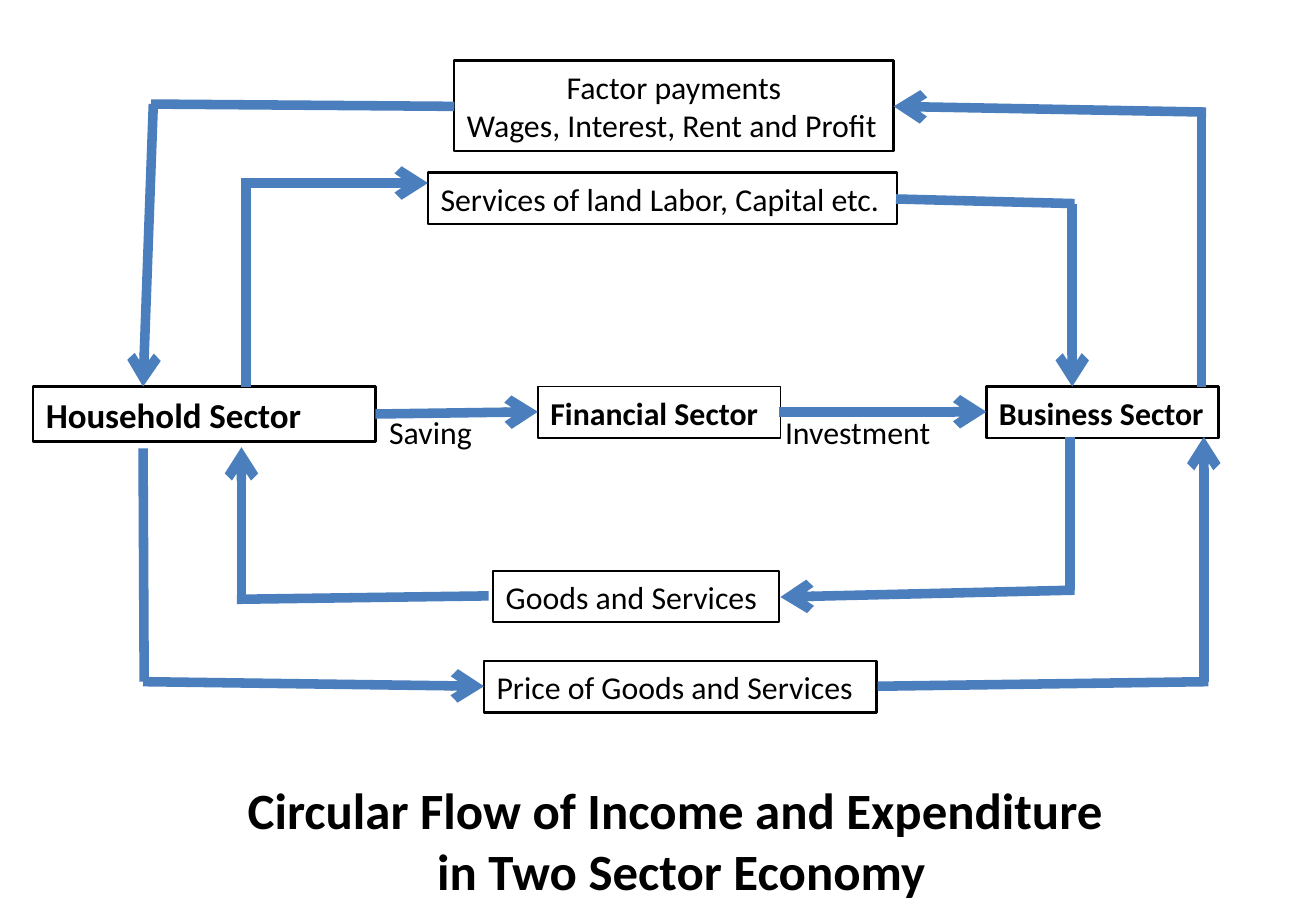
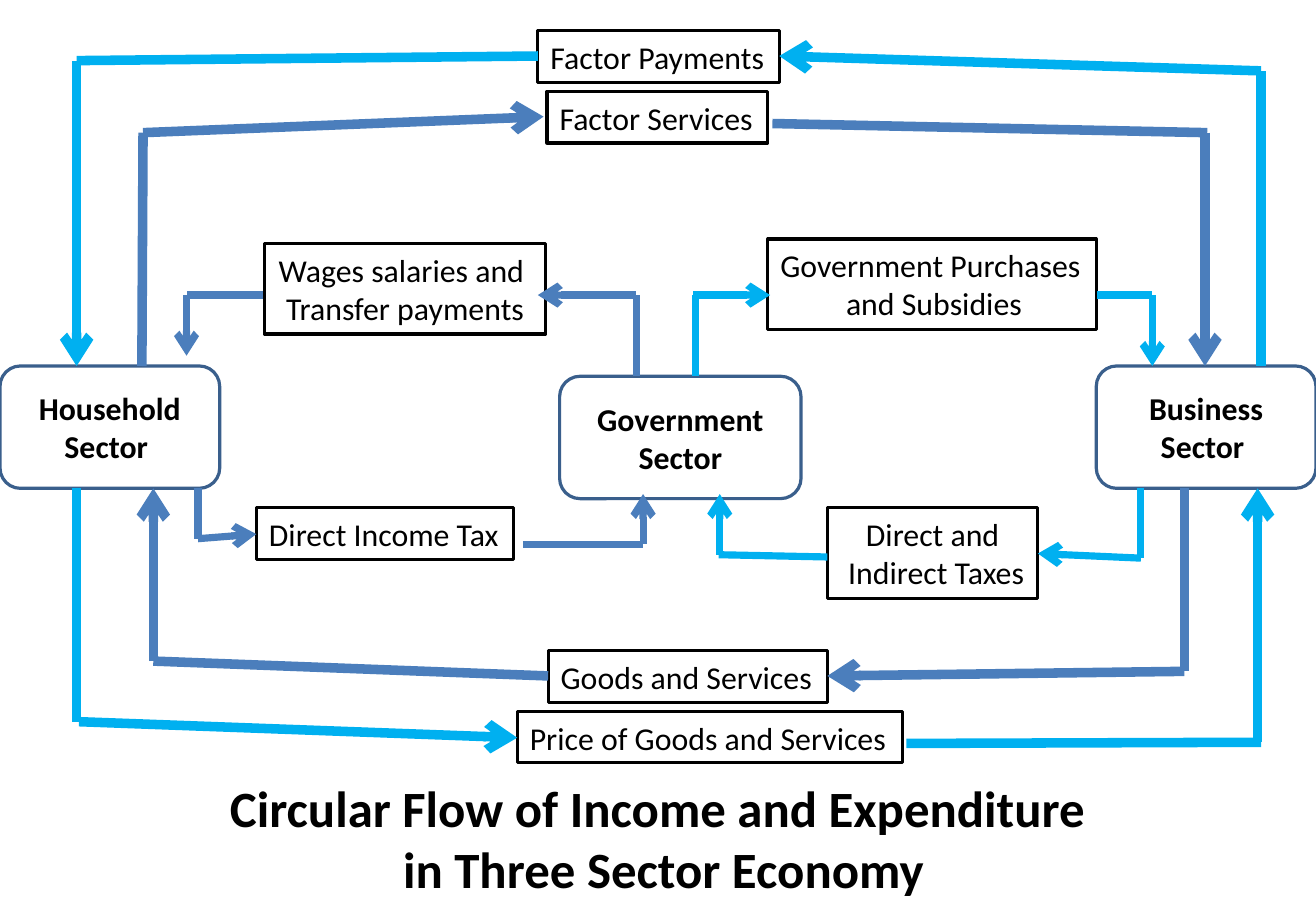
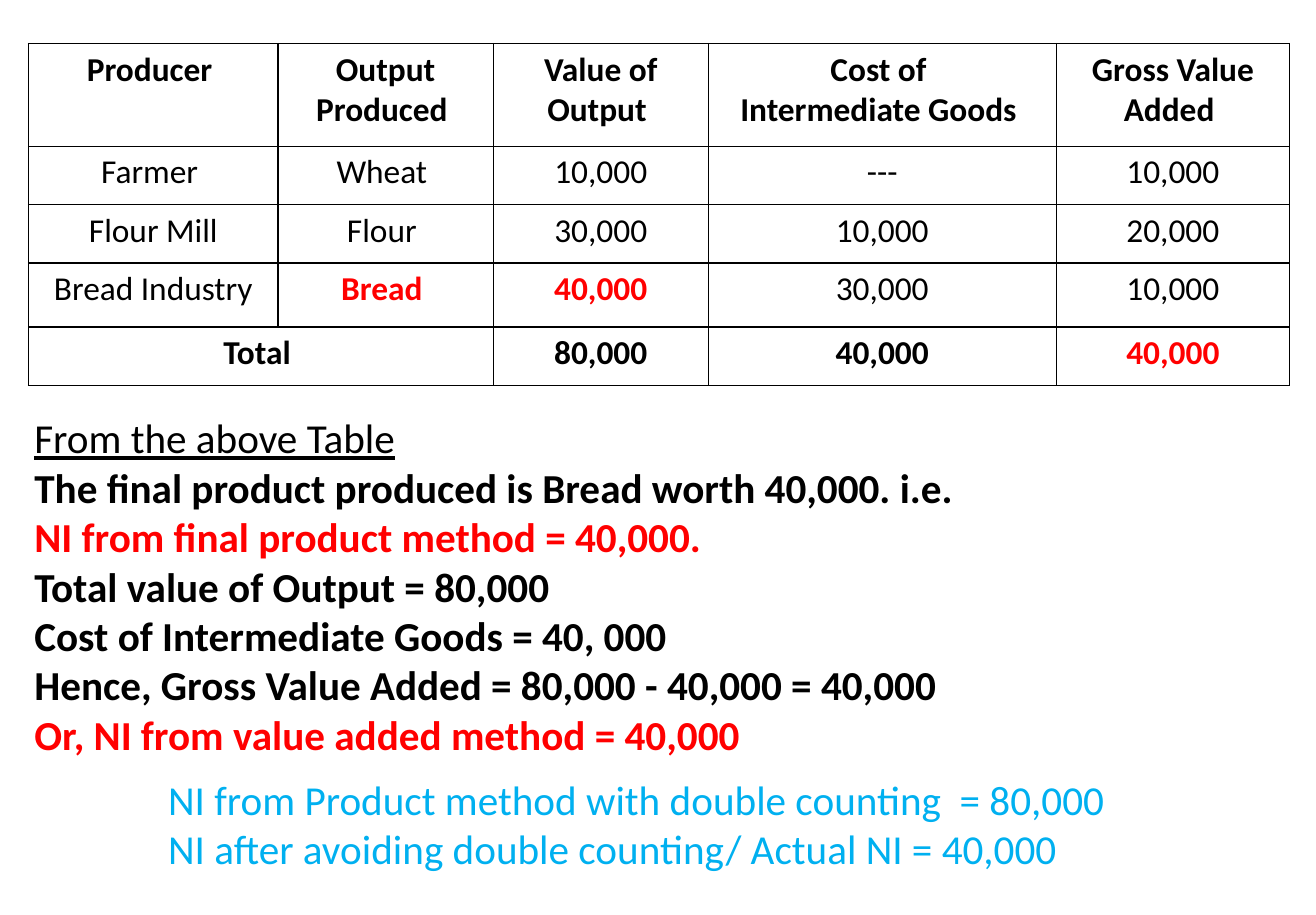
from dataclasses import dataclass

from lxml import etree
from pptx import Presentation
from pptx import util as u
from pptx.dml.color import RGBColor
from pptx.enum import shapes, text
from pptx.oxml import ns


@dataclass(frozen=True)
class Theme:
    font: str = "Calibri"
    black: str = "000000"
    white: str = "FFFFFF"
    red: str = "FF0000"
    blue: str = "4B7EBC"
    cyan: str = "00B0F0"
    navy: str = "3A5F8C"
    title_size: float = 32
    sector_size: float = 22
    label_size: float = 20
    table_size: float = 21
    body_size: float = 25.9
    thick: float = 6
    medium: float = 4.5


THEME = Theme()
CENTER = text.PP_ALIGN.CENTER
LEFT = text.PP_ALIGN.LEFT


# Shared helpers
def place(x, y, width, height):
    return [u.Inches(value) for value in (x, y, width, height)]


def apply(target, values):
    for name, value in values.items():
        setattr(target, name, value)


def set_frame(frame, wrap=True, grow=True, middle=False, inset_y=0.06):
    size = text.MSO_AUTO_SIZE
    apply(frame, {
        "word_wrap": wrap,
        "auto_size": size.SHAPE_TO_FIT_TEXT if grow else size.NONE,
        "vertical_anchor": text.MSO_ANCHOR.MIDDLE if middle else text.MSO_ANCHOR.TOP,
        "margin_left": u.Inches(0.11), "margin_right": u.Inches(0.11),
        "margin_top": u.Inches(inset_y), "margin_bottom": u.Inches(inset_y),
    })


def write(frame, lines, size, bold=False, color=THEME.black, align=LEFT):
    """Write one paragraph a line; a line is text or (text, overrides)."""
    for index, line in enumerate(lines):
        content, changes = (line, {}) if isinstance(line, str) else line
        style = {"bold": bold, "color": color, "align": align, "underline": False, **changes}
        paragraph = frame.paragraphs[0] if index == 0 else frame.add_paragraph()
        paragraph.alignment = style["align"]
        run = paragraph.add_run()
        run.text = content
        apply(run.font, {"name": THEME.font, "size": u.Pt(size),
                         "bold": style["bold"], "underline": style["underline"]})
        run.font.color.rgb = RGBColor.from_string(style["color"])


def add_title(presentation, lines, area):
    slide = presentation.slides.add_slide(presentation.slide_layouts[5])
    title = slide.shapes.title
    apply(title, dict(zip(("left", "top", "width", "height"), place(*area))))
    set_frame(title.text_frame)
    write(title.text_frame, lines, THEME.title_size, bold=True, align=CENTER)
    return slide


def add_text(slide, area, lines, size, wrap=False, inset_y=0.06, **style):
    box = slide.shapes.add_textbox(*place(*area))
    set_frame(box.text_frame, wrap=wrap, inset_y=inset_y)
    write(box.text_frame, lines, size, **style)


def add_box(slide, area, lines, size=THEME.label_size, fill=THEME.white, outline=2,
            rounded=False, wrap=False, **style):
    kind = shapes.MSO_SHAPE.ROUNDED_RECTANGLE if rounded else shapes.MSO_SHAPE.RECTANGLE
    box = slide.shapes.add_shape(kind, *place(*area))
    box.shadow.inherit = False
    if fill:
        box.fill.solid()
        box.fill.fore_color.rgb = RGBColor.from_string(fill)
    else:
        box.fill.background()
    box.line.width = u.Pt(outline)
    box.line.color.rgb = RGBColor.from_string(THEME.navy if rounded else THEME.black)
    set_frame(box.text_frame, wrap=wrap, grow=not rounded, middle=rounded)
    write(box.text_frame, lines, size, **style)


def add_line(slide, start, end, color, width, arrow):
    ends = [u.Inches(value) for value in (*start, *end)]
    line = slide.shapes.add_connector(shapes.MSO_CONNECTOR.STRAIGHT, *ends)
    line.line.width = u.Pt(width)
    line.line.color.rgb = RGBColor.from_string(color)
    properties = line._element.spPr
    if arrow:
        outline = properties.find(ns.qn("a:ln"))
        etree.SubElement(outline, ns.qn("a:tailEnd"), type="arrow")
    etree.SubElement(properties, ns.qn("a:effectLst"))


def add_flow(slide, start, corner, end, overhang=0.0, color=THEME.blue, width=THEME.thick):
    """Two legs, the last with an arrowhead; the flat leg overhangs the corner."""
    flat_first = abs(start[0] - corner[0]) > abs(start[1] - corner[1])
    far = start if flat_first else end
    shift = overhang if corner[0] > far[0] else -overhang
    beyond = (corner[0] + shift, corner[1])
    add_line(slide, start, beyond if flat_first else corner, color, width, False)
    add_line(slide, corner if flat_first else beyond, end, color, width, True)


# Slide 1: two sectors
def two_sector_slide(presentation):
    slide = add_title(presentation,
                      ["Circular Flow of Income and Expenditure ", "in Two Sector Economy"],
                      (0.83, 6.75, 10.25, 1.19))
    flow_boxes = [
        ((3.97, 0.53, 3.84, 0.79), [("Factor payments", {"align": CENTER}),
                                    "Wages, Interest, Rent and Profit"]),
        ((3.74, 1.51, 4.1, 0.45), ["Services of land Labor, Capital etc."]),
        ((4.31, 4.99, 2.5, 0.45), ["Goods and Services "]),
        ((4.23, 5.78, 3.43, 0.45), ["Price of Goods and Services "]),
    ]
    for area, lines in flow_boxes:
        add_box(slide, area, lines, fill=None, outline=1.5)

    add_box(slide, (0.29, 3.38, 2.99, 0.48), ["Household Sector"], THEME.sector_size,
            outline=1.5, wrap=True, bold=True)
    add_box(slide, (4.7, 3.38, 2.12, 0.45), ["Financial Sector "], outline=1, bold=True)
    add_box(slide, (8.62, 3.38, 2.03, 0.45), ["Business Sector"], outline=1.5, bold=True)

    # Start, corner, end, overhang
    flows = [
        ((2.15, 3.38), (2.15, 1.6), (3.74, 1.6), 0.04),
        ((7.83, 1.74), (9.37, 1.78), (9.37, 3.38), 0.02),
        ((10.5, 3.38), (10.5, 0.98), (7.81, 0.93), 0.04),
        ((3.97, 0.93), (1.34, 0.91), (1.25, 3.38), 0.02),
        ((9.35, 3.82), (9.35, 5.16), (6.82, 5.22), 0.04),
        ((1.25, 3.92), (1.26, 5.96), (4.23, 6), 0.01),
        ((4.27, 5.21), (2.11, 5.24), (2.11, 3.91), 0.04),
        ((7.67, 6), (10.52, 5.96), (10.52, 3.82), 0.04),
    ]
    for flow in flows:
        add_flow(slide, *flow)
    for start, end in [((3.28, 3.62), (4.7, 3.6)), ((6.81, 3.6), (8.62, 3.6))]:
        add_line(slide, start, end, THEME.blue, THEME.thick, True)

    add_text(slide, (3.29, 3.55, 0.95, 0.45), ["Saving"], THEME.label_size)
    add_text(slide, (6.75, 3.55, 1.51, 0.45), ["Investment"], THEME.label_size)


# Slide 2: three sectors
def three_sector_slide(presentation):
    slide = add_title(presentation,
                      ["Circular Flow of Income and Expenditure", " in Three Sector Economy"],
                      (1.34, 6.73, 8.82, 1.19))
    sectors = [
        ((9.58, 3.2, 1.92, 1.07), "Business Sector "),
        ((0, 3.2, 1.92, 1.07), "Household Sector "),
        ((4.89, 3.29, 2.11, 1.07), "Government Sector"),
    ]
    for area, name in sectors:
        add_box(slide, area, [name], rounded=True, wrap=True, bold=True, align=CENTER)

    single_boxes = [
        ((4.78, 0.8, 1.93, 0.45), "Factor Services"),
        ((4.79, 5.69, 2.44, 0.45), "Goods and Services"),
        ((4.7, 0.27, 2.11, 0.45), "Factor Payments"),
        ((4.52, 6.22, 3.37, 0.45), "Price of Goods and Services"),
        ((2.24, 4.44, 2.25, 0.45), "Direct Income Tax"),
    ]
    for area, label in single_boxes:
        add_box(slide, area, [label])
    double_boxes = [
        ((2.31, 2.13, 2.46, 0.79), ["Wages salaries and ", "Transfer payments"]),
        ((7.23, 4.44, 1.84, 0.79), ["Direct and", " Indirect Taxes"]),
        ((6.71, 2.09, 2.87, 0.79), [("Government Purchases", {"align": LEFT}),
                                    " and Subsidies"]),
    ]
    for area, lines in double_boxes:
        add_box(slide, area, lines, align=CENTER)

    # Start, corner, end, overhang if any, grouped by colour and width
    flows = {
        (THEME.blue, THEME.thick): [
            ((1.24, 3.2), (1.25, 1.16), (4.75, 1.02)),
            ((6.75, 1.08), (10.53, 1.16), (10.53, 3.2), 0.02),
            ((10.35, 4.27), (10.35, 5.87), (7.23, 5.91)),
            ((4.79, 5.91), (1.34, 5.78), (1.34, 4.27)),
        ],
        (THEME.cyan, THEME.thick): [
            ((11.02, 3.2), (11.02, 0.62), (6.81, 0.49)),
            ((4.7, 0.49), (0.67, 0.53), (0.67, 3.2)),
            ((0.67, 4.27), (0.67, 6.31), (4.52, 6.45), -0.02),
            ((7.92, 6.5), (10.99, 6.49), (10.99, 4.27), 0.03),
        ],
        (THEME.blue, THEME.medium): [
            ((5.56, 3.29), (5.56, 2.58), (4.7, 2.58)),
            ((2.3, 2.58), (1.63, 2.58), (1.63, 3.11)),
            ((1.73, 4.27), (1.73, 4.71), (2.24, 4.67)),
            ((4.57, 4.76), (5.62, 4.76), (5.62, 4.32)),
        ],
        (THEME.cyan, THEME.medium): [
            ((9.97, 4.27), (9.97, 4.88), (9.07, 4.84)),
            ((7.23, 4.87), (6.29, 4.85), (6.29, 4.32), 0.01),
            ((6.08, 3.29), (6.08, 2.58), (6.73, 2.58), 0.02),
            ((9.59, 2.58), (10.07, 2.58), (10.07, 3.2)),
        ],
    }
    for (color, width), group in flows.items():
        for flow in group:
            add_flow(slide, *flow, color=color, width=width)


# Slide 3: value added table
def set_borders(cell):
    properties = cell._tc.get_or_add_tcPr()
    for index, side in enumerate(("lnL", "lnR", "lnT", "lnB")):
        border = etree.Element(ns.qn(f"a:{side}"), w=str(u.Pt(1)))
        fill = etree.SubElement(border, ns.qn("a:solidFill"))
        etree.SubElement(fill, ns.qn("a:srgbClr"), val=THEME.black)
        properties.insert(index, border)


def add_value_table(slide):
    rows = [
        ["Producer ", "Output Produced ", "Value of Output ",
         "Cost of \nIntermediate Goods ", "Gross Value Added "],
        ["Farmer ", "Wheat ", "10,000", "---", "10,000"],
        ["Flour Mill", "Flour ", "30,000", "10,000", "20,000"],
        ["Bread Industry", "Bread ", "40,000", "30,000", "10,000"],
        ["Total ", "", "80,000", "40,000", "40,000"],
    ]
    highlights = {(3, 1), (3, 2), (4, 4)}
    last = len(rows) - 1
    table = slide.shapes.add_table(len(rows), len(rows[0]),
                                   *place(0.25, 0.38, 11.02, 2.98)).table
    apply(table, {"first_row": False, "horz_banding": False})
    for column, width in zip(table.columns, (2.18, 1.88, 1.88, 3.04, 2.04)):
        column.width = u.Inches(width)
    for row, height in zip(table.rows, (0.9, 0.51, 0.51, 0.56, 0.51)):
        row.height = u.Inches(height)
    table.cell(last, 0).merge(table.cell(last, 1))

    for i, values in enumerate(rows):
        for j, value in enumerate(values):
            cell = table.cell(i, j)
            cell.fill.background()
            set_borders(cell)
            apply(cell, {"margin_left": u.Inches(0.12), "margin_right": u.Inches(0.12),
                         "margin_top": u.Inches(0.05), "margin_bottom": u.Inches(0.05)})
            if value:
                marked = (i, j) in highlights
                write(cell.text_frame, value.split("\n"), THEME.table_size,
                      bold=marked or i in (0, last),
                      color=THEME.red if marked else THEME.black, align=CENTER)


def value_added_slide(presentation):
    slide = presentation.slides.add_slide(presentation.slide_layouts[6])
    add_value_table(slide)
    result = {"color": THEME.red}
    add_text(slide, (0.19, 3.56, 10.35, 3.16), [
        ("From the above Table", {"bold": False, "underline": True}),
        "The final product produced is Bread worth 40,000. i.e. ",
        ("NI from final product method = 40,000.", result),
        "Total value of Output = 80,000",
        "Cost of Intermediate Goods = 40, 000",
        "Hence, Gross Value Added = 80,000 - 40,000 = 40,000",
        ("Or, NI from value added method = 40,000", result),
    ], THEME.body_size, wrap=True, inset_y=0.05, bold=True)
    add_text(slide, (1.36, 6.72, 9.02, 0.98), [
        "NI from Product method with double counting  = 80,000",
        "NI after avoiding double counting/ Actual NI = 40,000",
    ], THEME.body_size, wrap=True, inset_y=0.05, color=THEME.cyan)


def main():
    presentation = Presentation()
    apply(presentation, {"slide_width": u.Inches(11.5), "slide_height": u.Inches(8)})
    two_sector_slide(presentation)
    three_sector_slide(presentation)
    value_added_slide(presentation)
    presentation.save("out.pptx")


main()
